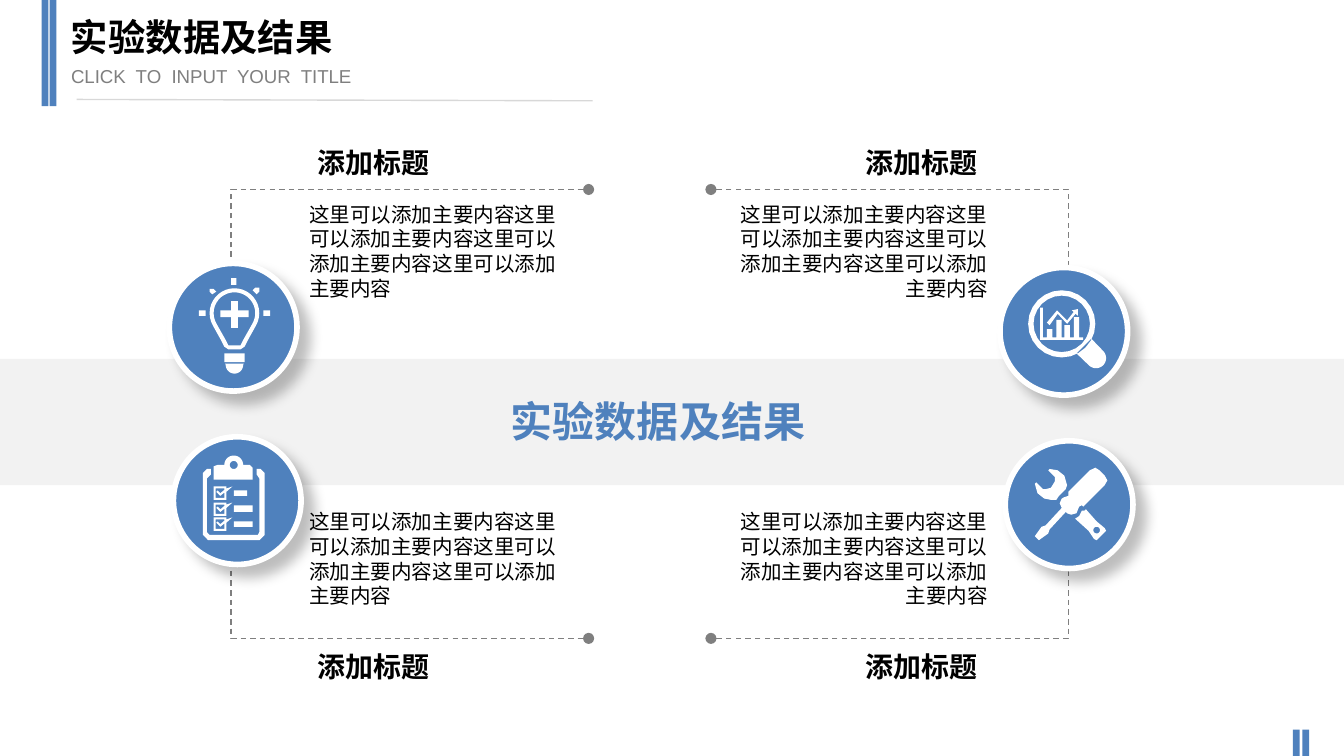
from dataclasses import dataclass
from math import cos, radians, sin

from lxml import etree
from pptx import Presentation
from pptx.dml.color import RGBColor
from pptx.enum.dml import MSO_LINE
from pptx.enum.shapes import MSO_CONNECTOR, MSO_SHAPE
from pptx.enum.text import MSO_ANCHOR, PP_ALIGN
from pptx.oxml.ns import qn
from pptx.util import Inches, Pt

RECT, OVAL = MSO_SHAPE.RECTANGLE, MSO_SHAPE.OVAL
LEFT, RIGHT = PP_ALIGN.LEFT, PP_ALIGN.RIGHT
TOP, MIDDLE = MSO_ANCHOR.TOP, MSO_ANCHOR.MIDDLE
DASH, STRAIGHT = MSO_LINE.DASH, MSO_CONNECTOR.STRAIGHT


@dataclass(frozen=True)
class Theme:
    font: str = "Arial"
    blue: str = "4F81BD"
    band: str = "F2F2F2"
    rule: str = "D8D8D8"
    grey: str = "7F7F7F"
    ink: str = "000000"
    white: str = "FFFFFF"
    hero: float = 22.5
    title: float = 20
    head: float = 15
    body: float = 11
    sub: float = 10


T = Theme()


def arc(x, y, r, start, stop, count=24):
    """Points on a circle; angles in degrees, clockwise from the right."""
    step = (stop - start) / count
    turns = [radians(start + step * i) for i in range(count + 1)]
    return [(x + r * cos(a), y + r * sin(a)) for a in turns]


def disc(x, y, r):
    return arc(x, y, r, 0, 360)


def box(x, y, w, h):
    return [(x, y), (x + w, y), (x + w, y + h), (x, y + h)]


def check(y):
    """A ticked box whose tick reaches past its right edge."""
    return [box(159, y, 9.5, 10), box(160.5, y + 1.5, 6.5, 7),
            [(161, y + 4), (162, y + 3), (164, y + 5), (167, y + 2.5),
             (167, y + 4.5), (164, y + 7)],
            [(168.5, y + 1.5), (173, y), (168.5, y + 4)]]


# Icon outlines in hundredths of an inch; an outline inside another is a hole
BULB = [
    arc(174.5, 233, 18.5, 150, 390) + [
        (184, 254), (182, 258), (179, 260), (170, 260), (167, 258), (165, 254)],
    arc(174.5, 233, 15.5, 150, 390) + [
        (181, 253), (179, 257), (170, 257), (168, 253)],
    [(172, 224), (177, 224), (177, 231), (185, 231), (185, 236), (177, 236),
     (177, 244), (172, 244), (172, 236), (164, 236), (164, 231), (172, 231)],
    box(167, 263, 15, 6.5),
    [(167.5, 270.5), (181.5, 270.5)] + arc(174.5, 271.5, 6.5, 0, 180),
    box(172, 207, 4, 5), box(148, 231, 5, 4), box(196, 231, 5, 4),
    [(188, 216), (190, 214), (193, 214), (193, 217), (191, 219)],
    [(158, 219), (156, 217), (156, 215), (159, 215), (161, 217)],
]
BOARD = [
    [(157, 353), (157, 349), (154, 349), (151, 352), (151, 398), (155, 402),
     (193, 402), (197, 398), (197, 352), (194, 349), (191, 349), (191, 353),
     (193, 356), (193, 396), (192, 398), (156, 398), (154, 396), (154, 356)],
    [(159, 357), (159, 347), (162, 346)] + arc(174, 346, 7, 180, 360) + [
        (186, 346), (188, 348), (188, 357)],
    disc(174, 346, 3),
    *check(362), *check(374), *check(385),
    box(174, 365, 10, 4), box(174, 376, 14, 5), box(174, 388, 14, 4),
]
LENS = [
    disc(790, 241, 25), disc(790, 241, 21),
    [(801, 263), (812, 252)] + arc(815.5, 266.5, 7.5, -45, 135),
    [(774, 229), (776, 229), (776, 251), (806, 251), (806, 253), (774, 253)],
    *[box(x, y, 4, 251 - y)
      for x, y in [(779, 245), (786, 238), (792, 242), (799, 236)]],
    [(779, 240), (786.5, 231), (794, 238.5), (799, 232), (800.5, 233.3),
     (794, 241), (787, 233.5), (781, 242)],
    [(797.5, 231), (802, 230), (802, 235)],
]
TOOLS = [
    [(788, 369), (793, 364), (794, 361), (792, 354), (787, 350), (781, 349),
     (780, 350), (785, 355), (785, 358), (782, 363), (778, 364), (776, 364),
     (771, 359), (770, 360), (772, 367), (777, 371), (782, 372), (786, 372)],
    [(805, 380), (807, 380), (808, 379), (816, 388), (822, 393), (823, 395),
     (816, 402), (814, 401), (810, 395), (800, 386), (803, 384)],
    disc(816, 394.5, 2.5),
    [(818, 350), (822, 354), (824, 357.5), (822, 361), (806, 377), (805, 376),
     (803, 377), (801, 382), (797, 383), (794, 382), (793, 381), (781, 394),
     (780, 397), (773, 402), (770, 399), (775, 392), (778, 391), (790, 378),
     (788.5, 374.5), (790, 371), (792, 370), (795, 369), (795, 366),
     (811, 350), (815, 348)],
]

TITLE = "实验数据及结果"
SUB = "CLICK  TO  INPUT  YOUR  TITLE"
HEAD = "添加标题"
BODY = "这里可以添加主要内容" * 4
# Icon, disc left and top
ICONS = [(BULB, 1.26, 1.96), (BOARD, 1.29, 3.25),
         (LENS, 7.44, 1.99), (TOOLS, 7.48, 3.28)]
# Alignment, heading left, body left, line's outer and inner ends
SIDES = [(LEFT, 2.29, 2.23, 1.72, 4.38), (RIGHT, 5.9, 5.3, 7.95, 5.29)]
# Heading top, body top, line's start and level
ROWS = [(1.04, 1.46, 2.02, 1.41), (4.79, 3.75, 4.14, 4.75)]

prs = Presentation()
prs.slide_width, prs.slide_height = Inches(10), Inches(10 * 9 / 16)
slide = prs.slides.add_slide(prs.slide_layouts[6])
shapes = slide.shapes


def tint(shape, color):
    shape.shadow.inherit = False
    shape.fill.solid()
    shape.fill.fore_color.rgb = RGBColor.from_string(color)
    shape.line.fill.background()


def block(kind, x, y, w, h, color):
    shape = shapes.add_shape(kind, *map(Inches, (x, y, w, h)))
    tint(shape, color)
    return shape


def write(text, x, y, w, h, size, color=T.ink, bold=False, align=LEFT,
          anchor=TOP, pad=(0.07, 0.04), wrap=True):
    frame = shapes.add_textbox(*map(Inches, (x, y, w, h))).text_frame
    frame.word_wrap, frame.vertical_anchor = wrap, anchor
    frame.margin_left = frame.margin_right = Inches(pad[0])
    frame.margin_top = frame.margin_bottom = Inches(pad[1])
    para = frame.paragraphs[0]
    para.alignment = align
    run = para.add_run()
    run.text = text
    run.font.name, run.font.size, run.font.bold = T.font, Pt(size), bold
    run.font.color.rgb = RGBColor.from_string(color)


def trace(paths, close=True):
    """One freeform from several outlines given in inches."""
    first, *rest = [[(Inches(x), Inches(y)) for x, y in p] for p in paths]
    pen = shapes.build_freeform(*first[0], scale=1.0)
    pen.add_line_segments(first[1:], close=close)
    for path in rest:
        pen.move_to(*path[0])
        pen.add_line_segments(path[1:], close=close)
    return pen.convert_to_shape()


def lead(*points):
    """Dashed guide with a dot at each end."""
    shape = trace([points], close=False)
    shape.shadow.inherit = False
    shape.fill.background()
    line = shape.line
    line.color.rgb = RGBColor.from_string(T.grey)
    line.width, line.dash_style = 0, DASH
    for end in ("a:headEnd", "a:tailEnd"):
        etree.SubElement(shape.element.spPr.find(qn("a:ln")), qn(end), type="oval")


def badge(icon, x, y):
    ring = block(OVAL, x, y, 0.95, 0.95, T.blue)
    ring.line.color.rgb = RGBColor.from_string(T.white)
    ring.line.width = Pt(3)
    glow = etree.SubElement(
        ring.element.spPr.find(qn("a:effectLst")), qn("a:outerShdw"),
        blurRad=str(Pt(7)), dist=str(Pt(8)), dir=str(45 * 60000),
        algn="tl", rotWithShape="0")
    shade = etree.SubElement(glow, qn("a:srgbClr"), val=T.ink)
    etree.SubElement(shade, qn("a:alpha"), val="25000")
    tint(trace([[(a / 100, b / 100) for a, b in p] for p in icon]), T.white)


for x, y, h in [(0.31, 0, 0.79), (0.37, 0, 0.79), (9.62, 5.43, 0.2), (9.69, 5.43, 0.2)]:
    block(RECT, x, y, 0.05, h, T.blue)
rule = shapes.add_connector(STRAIGHT, *map(Inches, (0.57, 0.74, 4.41, 0.75)))
rule.line.color.rgb = RGBColor.from_string(T.rule)
rule.line.width = Pt(0.75)
etree.SubElement(rule.element.spPr, qn("a:effectLst"))
write(SUB, 0.43, 0.43, 3.15, 0.27, T.sub, T.grey, anchor=MIDDLE, pad=(0.1, 0.05))
write(TITLE, 0.43, 0.06, 4.04, 0.5, T.title, bold=True, pad=(0.1, 0.05))

block(RECT, 0, 2.67, 10, 0.94, T.band)
for top, text, start, level in ROWS:
    for align, left, edge, outer, inner in SIDES:
        lead((outer, start), (outer, level), (inner, level))
        write(HEAD, left, top, 1.44, 0.33, T.head, bold=True, align=align)
        write(BODY, edge, text, 2.12, 0.82, T.body, align=align)
write(TITLE, 3.73, 2.9, 2.36, 0.45, T.hero, T.blue, bold=True, wrap=False)
for icon, x, y in ICONS:
    badge(icon, x, y)

prs.save("out.pptx")
